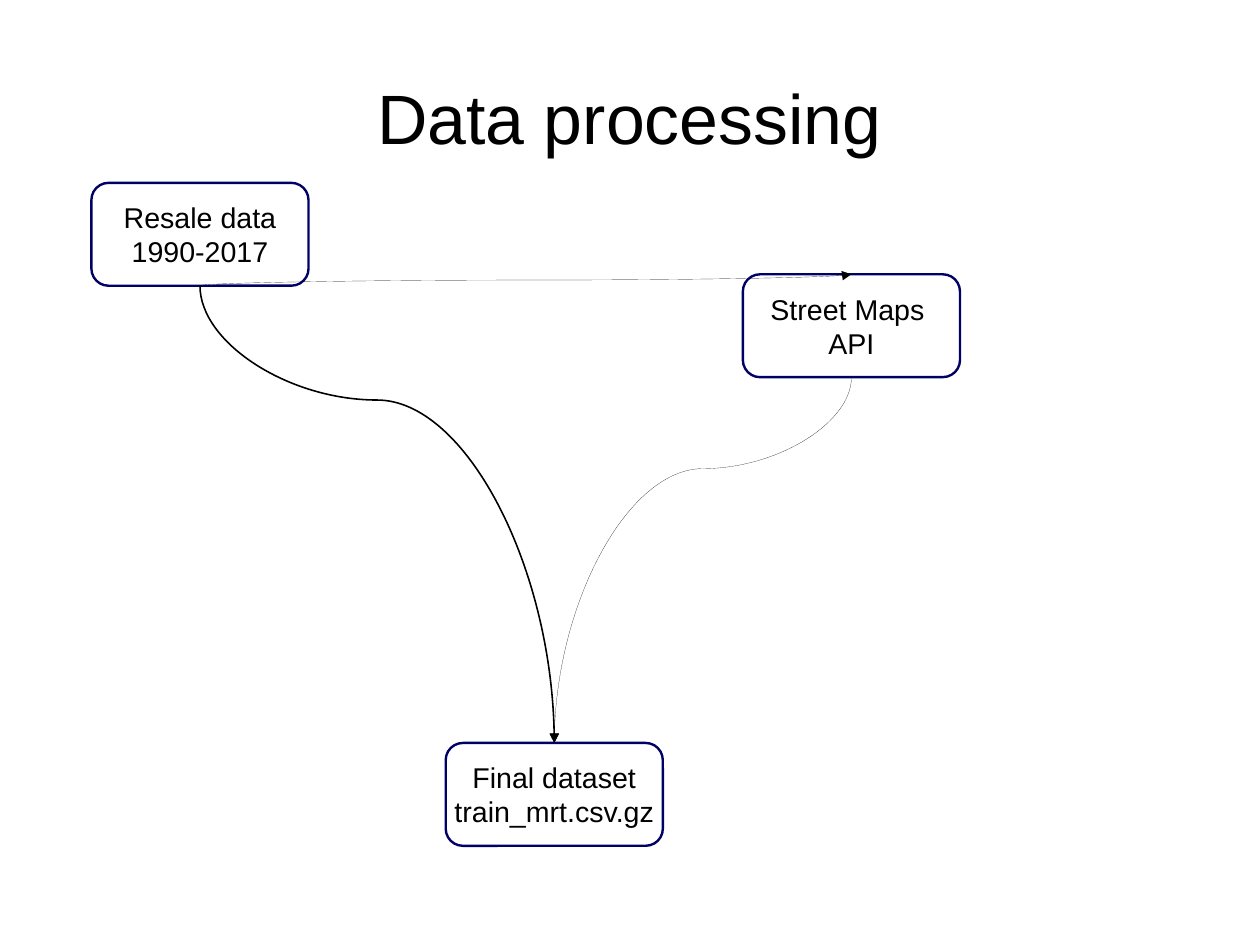
from lxml.etree import SubElement
from pptx import Presentation
from pptx.dml.color import RGBColor
from pptx.enum.shapes import MSO_CONNECTOR, MSO_SHAPE
from pptx.enum.text import MSO_ANCHOR, PP_ALIGN
from pptx.oxml.ns import qn
from pptx.util import Pt

BLACK = RGBColor(0x00, 0x00, 0x00)
NAVY = RGBColor(0x00, 0x00, 0x66)
BOX_W, BOX_H = 136.8, 64.8

deck = Presentation()
deck.slide_width, deck.slide_height = Pt(793.75), Pt(595.25)
slide = deck.slides.add_slide(deck.slide_layouts[6])
shapes = slide.shapes


def write(shape, text, size=18, wrap=False, pad=(0, 0)):
    frame = shape.text_frame
    frame.word_wrap = wrap
    frame.vertical_anchor = MSO_ANCHOR.MIDDLE
    frame.margin_left = frame.margin_right = Pt(pad[0])
    frame.margin_top = frame.margin_bottom = Pt(pad[1])
    frame.text = text
    for para in frame.paragraphs:
        para.alignment = PP_ALIGN.CENTER
        for run in para.runs:
            run.font.name = "Arial"
            run.font.size = Pt(size)
            run.font.color.rgb = BLACK


def link(start, end, width, turn, flips, bend):
    """Draw a curve that leaves and arrives vertically."""
    (x1, y1), (x2, y2) = start, end
    wide, high = abs(y2 - y1), abs(x2 - x1)
    left, top = (x1 + x2 - wide) / 2, (y1 + y2 - high) / 2
    curve = shapes.add_connector(MSO_CONNECTOR.CURVE, Pt(left), Pt(top),
                                 Pt(left + wide), Pt(top + high))
    curve.line.color.rgb = BLACK
    props = curve._element.spPr
    frame = props.find(qn("a:xfrm"))
    frame.set("rot", str(turn * 60000))
    for flip in flips:
        frame.set("flip" + flip, "1")
    guides = props.find(qn("a:prstGeom")).find(qn("a:avLst"))
    SubElement(guides, qn("a:gd"), name="adj1", fmla=f"val {bend}")
    # A hairline needs its zero width written out
    line = props.find(qn("a:ln"))
    line.set("w", str(int(Pt(width))))
    SubElement(line, qn("a:tailEnd"), type="triangle")
    SubElement(props, qn("a:effectLst"))


# Title
title = shapes.add_textbox(Pt(39.6), Pt(23.76), Pt(714.24), Pt(99.36))
write(title, "Data processing", size=44, wrap=True)

# Boxes
spots = {
    "resale": (57.6, 115.2, "Resale data\n1990-2017"),
    "final": (280.8, 468, "Final dataset\ntrain_mrt.csv.gz"),
    "maps": (468, 172.8, "Street Maps \vAPI"),
}
tops, feet = {}, {}
for name, (left, top, text) in spots.items():
    box = shapes.add_shape(MSO_SHAPE.ROUNDED_RECTANGLE,
                           Pt(left), Pt(top), Pt(BOX_W), Pt(BOX_H))
    box.shadow.inherit = False
    box.fill.background()
    box.line.color.rgb = NAVY
    box.line.width = Pt(1.5)
    write(box, text, pad=(7.92, 4.32))
    tops[name] = (left + BOX_W / 2, top)
    feet[name] = (left + BOX_W / 2, top + BOX_H)

# Curved arrows
link(feet["resale"], tops["final"], 1, 270, "H", 25000)
link(feet["resale"], tops["maps"], 0, 90, "HV", 49600)
link(feet["maps"], tops["final"], 0, 90, "", 25000)

deck.save("out.pptx")
